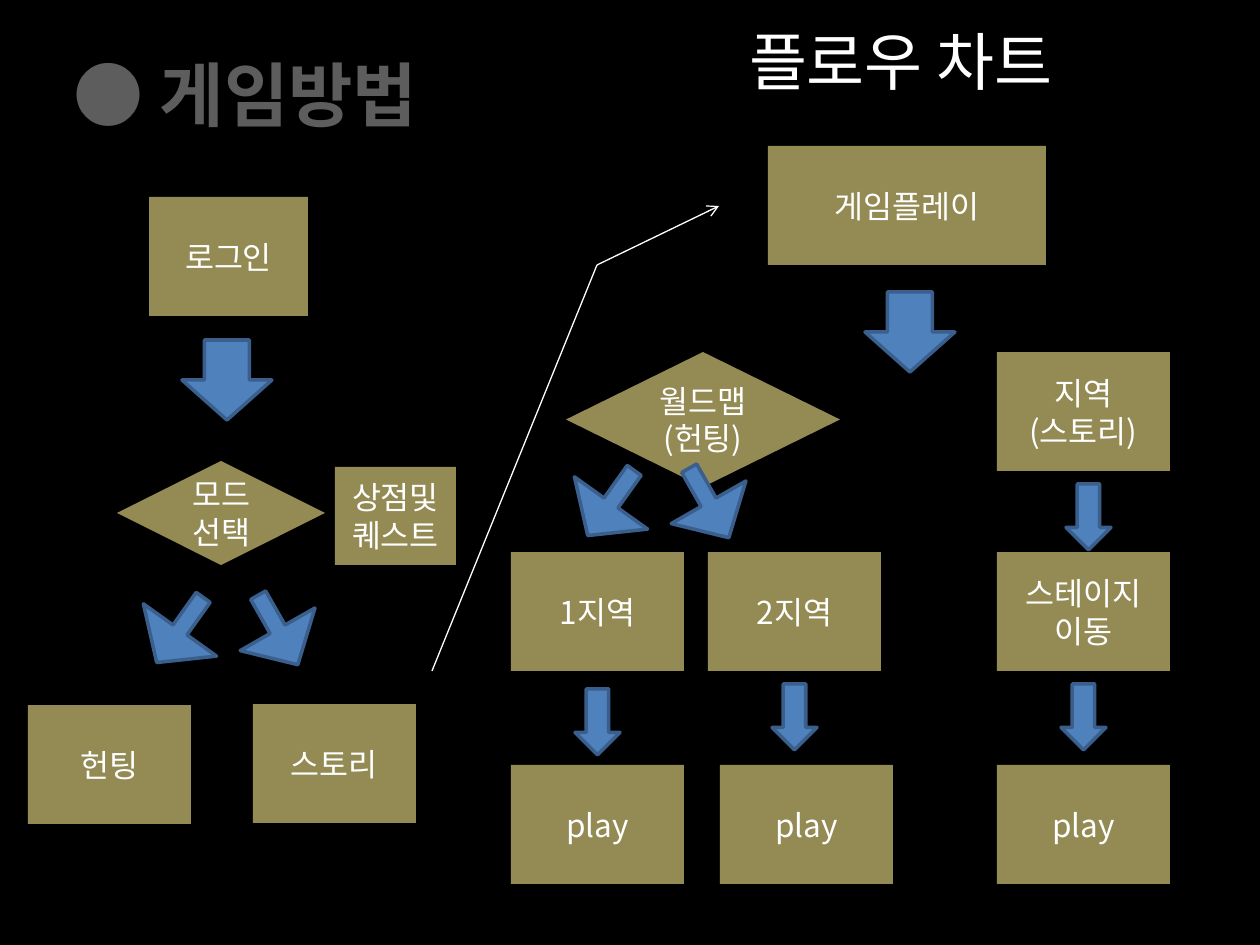
from lxml.etree import SubElement
from pptx import Presentation
from pptx.dml.color import RGBColor
from pptx.enum.shapes import MSO_CONNECTOR as Conn, MSO_SHAPE as Kind
from pptx.enum.text import MSO_ANCHOR as Anchor, PP_ALIGN as Align
from pptx.oxml.ns import qn
from pptx.util import Emu, Pt

SCALE = 914400 / 126
FONT = "Noto Sans CJK KR"
BLACK = RGBColor(0x00, 0x00, 0x00)
WHITE = RGBColor(0xFF, 0xFF, 0xFF)
GRAY = RGBColor(0x5D, 0x5D, 0x5D)
OLIVE = RGBColor(0x94, 0x8A, 0x54)
BLUE = RGBColor(0x4F, 0x81, 0xBD)
NAVY = RGBColor(0x3A, 0x5F, 0x8C)

BOX_H = 119
WIDE = 173
LEFT, MID, RIGHT = 511, 708, 997
AREA_Y, STAGE_Y, PLAY_Y = 352, 552, 765


def px(*nums):
    return [Emu(round(n * SCALE)) for n in nums]


def write(shape, text, size, color=WHITE, bold=False):
    frame = shape.text_frame
    frame.text = text
    for para in frame.paragraphs:
        para.alignment = Align.CENTER
        font = para.font
        font.name = FONT
        font.size = Pt(size)
        font.bold = bold
        font.color.rgb = color
        SubElement(para._p.pPr.defRPr, qn("a:ea"), typeface=FONT)
    return frame


def head(shape, text, size, color, bold=False):
    frame = write(shape, text, size, color, bold)
    frame.word_wrap = False
    frame.vertical_anchor = Anchor.TOP


def node(slide, text, x, y, w, h=BOX_H, kind=Kind.RECTANGLE):
    shape = slide.shapes.add_shape(kind, *px(x, y, w, h))
    shape.shadow.inherit = False
    shape.fill.solid()
    shape.fill.fore_color.rgb = OLIVE
    shape.line.fill.background()
    write(shape, text, 18).vertical_anchor = Anchor.MIDDLE


def arrow(slide, x, y, w=90, h=80, turn=0, adjust=(0.5, 0.5)):
    shape = slide.shapes.add_shape(Kind.DOWN_ARROW, *px(x, y, w, h))
    shape.shadow.inherit = False
    shape.rotation = turn
    for i, value in enumerate(adjust):
        shape.adjustments[i] = value
    shape.fill.solid()
    shape.fill.fore_color.rgb = BLUE
    shape.line.color.rgb = NAVY
    shape.line.width = Pt(2)


def fork(slide, x, y):
    arrow(slide, x, y, turn=35.5, adjust=(0.19, 0.5))
    arrow(slide, x + 100, y, 86, turn=330.3, adjust=(0.2, 0.51))


def link(slide, start, end, tip=False):
    line = slide.shapes.add_connector(Conn.STRAIGHT, *px(*start, *end))
    line.line.color.rgb = WHITE
    line.line.width = Pt(0.75)
    props = line._element.spPr
    if tip:
        SubElement(props.find(qn("a:ln")), qn("a:tailEnd"), type="arrow")
    SubElement(props, qn("a:effectLst"))


def draw_mode(slide):
    node(slide, "로그인", 149, 197, 159)
    arrow(slide, 182, 340)
    node(slide, "모드선택", 117, 461, 208, 104, Kind.FLOWCHART_DECISION)
    node(slide, "상점및\n퀘스트", 335, 467, 121, 98)
    fork(slide, 135, 590)
    node(slide, "헌팅", 28, 705, 163)
    node(slide, "스토리", 253, 704, 163)


def draw_play(slide):
    node(slide, "게임플레이", 768, 146, 278)
    arrow(slide, 865, 292)
    node(slide, "월드맵(헌팅)", 566, AREA_Y, 274, 135, Kind.FLOWCHART_DECISION)
    node(slide, "지역\n(스토리)", RIGHT, AREA_Y, WIDE)
    fork(slide, 566, 463)
    for text, x in (("1지역", LEFT), ("2지역", MID), ("스테이지\n이동", RIGHT)):
        node(slide, text, x, STAGE_Y, WIDE)
    for x in (LEFT, MID + 12, RIGHT):
        node(slide, "play", x, PLAY_Y, WIDE)
    for x, y in ((575, 689), (772, 684), (1061, 684), (1066, 484)):
        arrow(slide, x, y, 45, 66)


def main():
    deck = Presentation()
    deck.slide_width, deck.slide_height = px(1260, 945)
    slide = deck.slides.add_slide(deck.slide_layouts[5])
    back = slide.background.fill
    back.solid()
    back.fore_color.rgb = BLACK

    title = slide.shapes.title
    title.left, title.top, title.width, title.height = px(44, 45, 403, 97)
    head(title, "● 게임방법", 40, GRAY, True)
    label = slide.shapes.add_textbox(*px(718, 16, 366, 89))
    head(label, "플로우 차트", 36, WHITE)

    draw_mode(slide)
    draw_play(slide)
    bend = (597, 265)
    link(slide, (432, 671), bend)
    link(slide, bend, (719, 206), True)
    deck.save("out.pptx")


if __name__ == "__main__":
    main()
